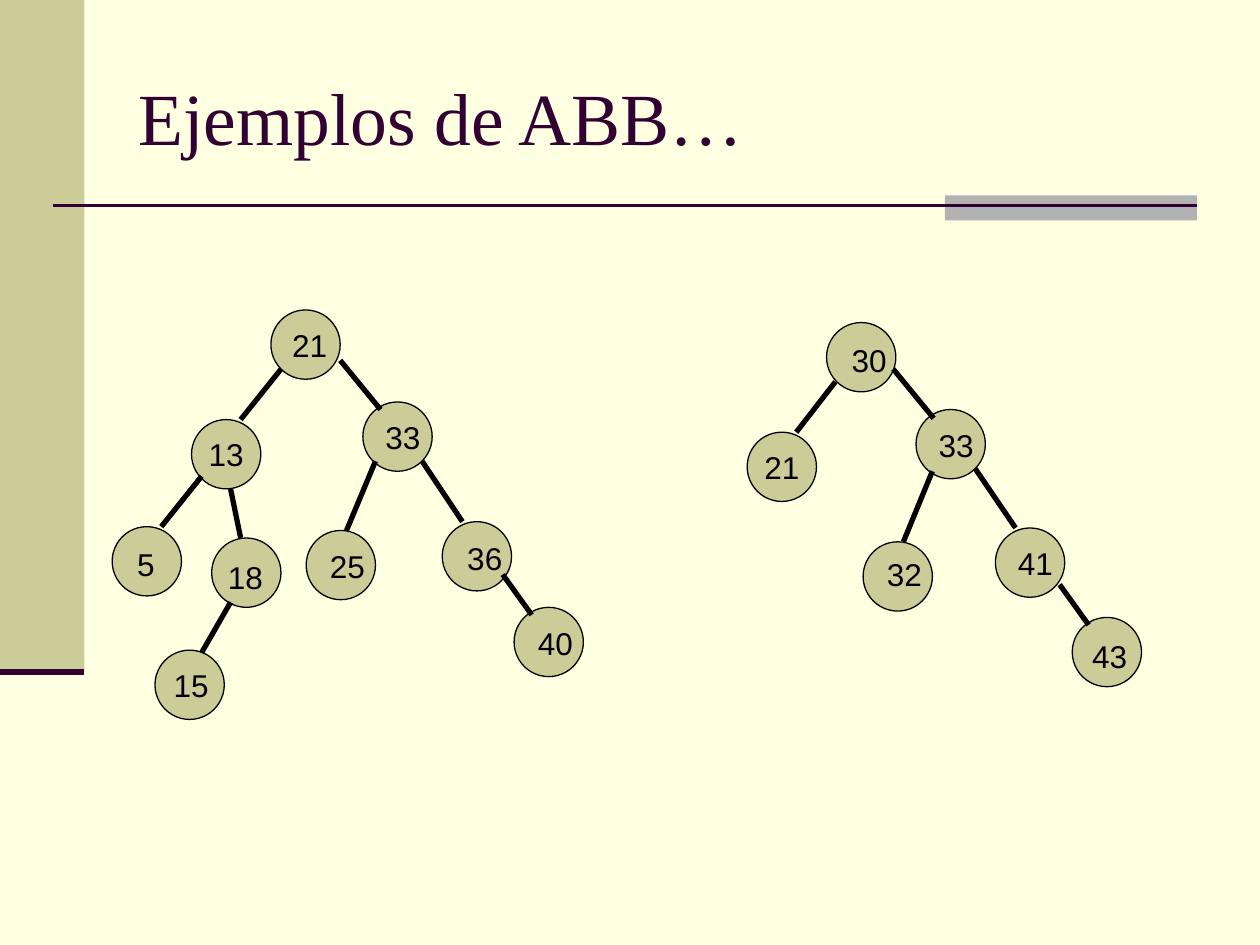
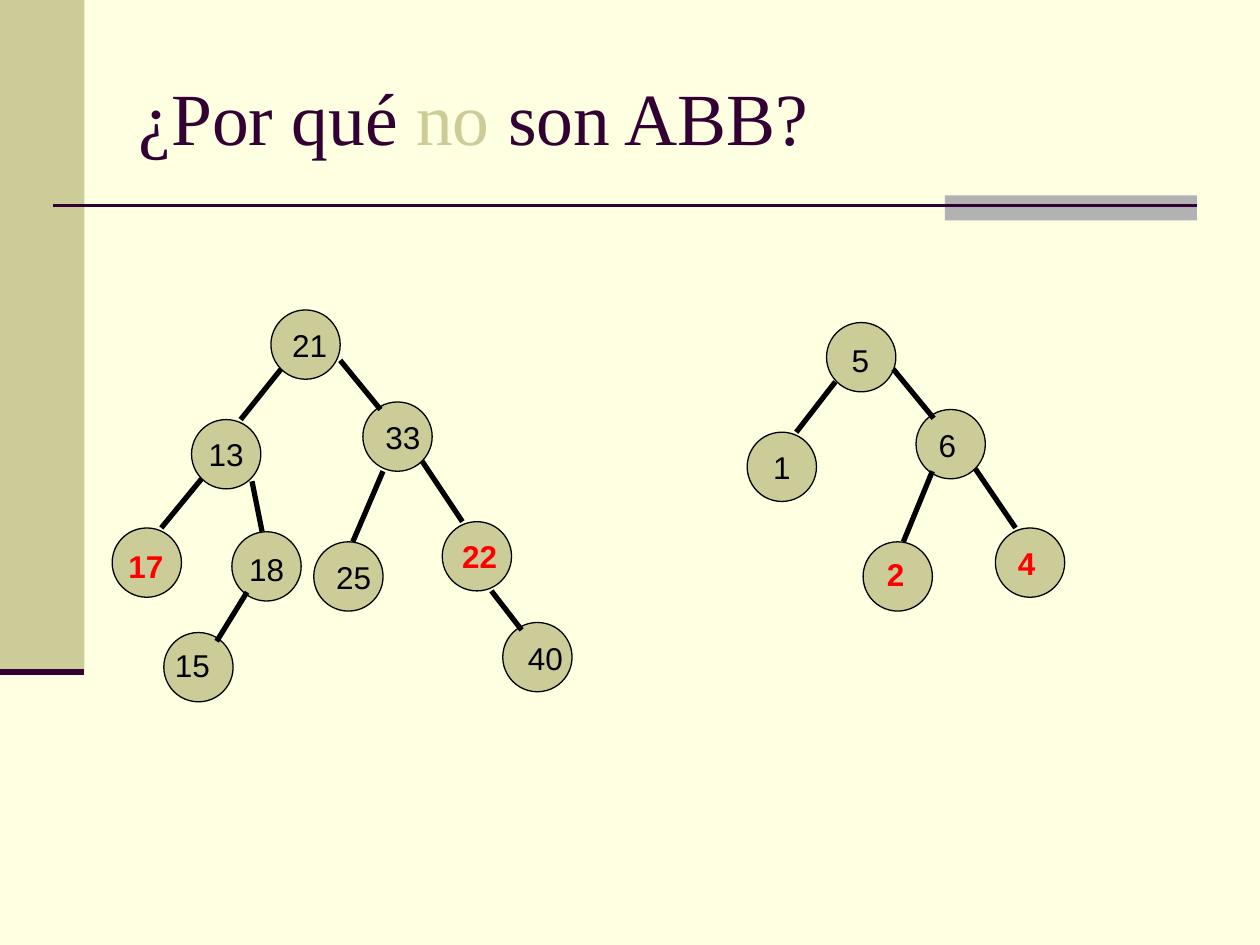
from dataclasses import dataclass, replace

from lxml import etree
from pptx import Presentation
from pptx import util as u
from pptx.dml.color import RGBColor
from pptx.enum import shapes, text
from pptx.oxml.ns import qn

COLORS = {
    "paper": "FFFFE1",
    "olive": "CCCC99",
    "gray": "B2B2B2",
    "plum": "330033",
    "black": "000000",
    "red": "FF0000",
}
NODE_SIZE = 0.55
LABEL_HEIGHT = 0.4
LEFT_TREE_BOX = (0.89, 2.46)
RIGHT_TREE_BOX = (5.93, 2.56)


@dataclass(frozen=True)
class Node:
    value: str
    at: tuple
    leave: tuple = None
    enter: tuple = None
    label: tuple = None
    label_width: float = 0.55
    wrong: bool = False


# Each key spells the way down from the root: L for left, R for right.
SEARCH_LEFT = {
    "": Node("21", (1.26, 0), label=(0.07, 0.08)),
    "L": Node("13", (0.63, 0.87), (0.08, 0.47), (0.39, 0)),
    "R": Node("33", (1.99, 0.73), (0.55, 0.4), (0.14, 0.06), (0.08, 0.08), 0.71),
    "LL": Node("5", (0, 1.72), (0.08, 0.45), (0.39, 0), (0.1, 0.1), 0.31),
    "LR": Node("18", (0.79, 1.81), (0.31, 0.55), (0.23, 0), (0.03, 0.11), 0.63),
    "LRL": Node("15", (0.34, 2.7), (0.15, 0.51), (0.37, 0.02), (0.05, 0.08), 0.71),
    "RL": Node("25", (1.54, 1.75), (0.1, 0.47), (0.32, 0), (0.09, 0.08), 0.63),
    "RR": Node("36", (2.62, 1.68), (0.47, 0.47), (0.16, 0), (0.1, 0.09)),
    "RRR": Node("40", (3.19, 2.36), (0.48, 0.42), (0.14, 0.06), (0.09, 0.08), 0.79),
}
SEARCH_RIGHT = {
    "": Node("30", (0.63, 0), label=(0.1, 0.1)),
    "L": Node("21", (0, 0.87), (0.07, 0.47), (0.39, 0)),
    "R": Node("33", (1.34, 0.69), (0.53, 0.37), (0.14, 0.07), (0.08, 0.08), 0.71),
    "RL": Node("32", (0.92, 1.74), (0.13, 0.49), (0.32, 0), (0.09, 0.06), 0.63),
    "RR": Node("41", (1.97, 1.63), (0.47, 0.47), (0.16, 0), (0.08, 0.08)),
    "RRR": Node("43", (2.58, 2.34), (0.51, 0.45), (0.13, 0.06), (0.06, 0.11), 0.79),
}


def change(tree, **changes):
    return {way: replace(node, **changes.get(way, {})) for way, node in tree.items()}


BROKEN_LEFT = change(
    SEARCH_LEFT,
    LL=dict(value="17", at=(0, 1.73), leave=(0.08, 0.47), label=(0.03, 0.1),
            label_width=0.63, wrong=True),
    LR=dict(at=(0.95, 1.76), leave=(0.48, 0.49), enter=(0.24, 0), label=(0.04, 0.1)),
    LRL=dict(at=(0.41, 2.56), leave=(0.12, 0.48), enter=(0.42, 0.07), label=(-0.01, 0.06)),
    RL=dict(at=(1.6, 1.84), leave=(0.16, 0.55), enter=(0.31, 0), label=(0.08, 0.08)),
    RR=dict(value="22", label=(0.06, 0.07), wrong=True),
    RRR=dict(at=(3.1, 2.48), leave=(0.39, 0.55), enter=(0.15, 0.06), label=(0.1, 0.08)),
)
BROKEN_RIGHT = change(
    {way: node for way, node in SEARCH_RIGHT.items() if way != "RRR"},
    **{"": dict(value="5")},
    L=dict(value="1"),
    R=dict(value="6"),
    RL=dict(value="2", wrong=True),
    RR=dict(value="4", wrong=True),
)


def rgb(name):
    return RGBColor.from_string(COLORS[name])


def shift(origin, offset):
    return origin[0] + offset[0], origin[1] + offset[1]


def inches(*lengths):
    return [u.Inches(length) for length in lengths]


def write(frame, runs, size=18, font="Arial", bold=False, align=text.PP_ALIGN.LEFT,
          anchor=text.MSO_ANCHOR.TOP, wrap=True, fit=text.MSO_AUTO_SIZE.NONE, before=0):
    frame.word_wrap = wrap
    frame.auto_size = fit
    frame.vertical_anchor = anchor
    paragraph = frame.paragraphs[0]
    paragraph.alignment = align
    paragraph.space_before = u.Pt(before)
    for words, color in runs:
        run = paragraph.add_run()
        run.text = words
        run.font.size = u.Pt(size)
        run.font.name = font
        run.font.bold = bold
        run.font.color.rgb = rgb(color)


def draw_shape(slide, kind, box, fill, outline=None):
    shape = slide.shapes.add_shape(kind, *inches(*box))
    shape.shadow.inherit = False
    shape.fill.solid()
    shape.fill.fore_color.rgb = rgb(fill)
    if outline:
        shape.line.color.rgb = rgb(outline)
        shape.line.width = u.Pt(0.75)
    else:
        shape.line.fill.background()
    return shape


def draw_line(slide, start, end, color="black", width=3):
    line = slide.shapes.add_connector(
        shapes.MSO_CONNECTOR.STRAIGHT, *inches(*start, *end))
    line.line.color.rgb = rgb(color)
    line.line.width = u.Pt(width)
    etree.SubElement(line.element.spPr, qn("a:effectLst"))
    return line


def decorate_layout(layout, slide):
    layout.background.fill.solid()
    layout.background.fill.fore_color.rgb = rgb("paper")
    rectangle = shapes.MSO_SHAPE.RECTANGLE
    decorations = [
        draw_shape(slide, rectangle, (0, 0, 0.67, 5.33), "olive"),
        draw_shape(slide, rectangle, (7.5, 1.55, 2, 0.2), "gray"),
        draw_line(slide, (0.42, 1.63), (9.5, 1.63), "plum", 1.5),
        draw_line(slide, (0, 5.33), (0.67, 5.33), "plum", 3.5),
    ]
    for decoration in decorations:
        layout.shapes.element.append(decoration.element)


def draw_tree(slide, origin, tree):
    corners = {way: shift(origin, node.at) for way, node in tree.items()}
    for way, node in tree.items():
        circle = draw_shape(slide, shapes.MSO_SHAPE.OVAL,
                            (*corners[way], NODE_SIZE, NODE_SIZE), "olive", "black")
        if not node.label:
            write(circle.text_frame, [(node.value, "black")], wrap=False,
                  align=text.PP_ALIGN.CENTER, anchor=text.MSO_ANCHOR.MIDDLE)
    for way, node in tree.items():
        if way:
            draw_line(slide, shift(corners[way[:-1]], node.leave),
                      shift(corners[way], node.enter))
    for way, node in tree.items():
        if node.label:
            label = slide.shapes.add_textbox(*inches(
                *shift(corners[way], node.label), node.label_width, LABEL_HEIGHT))
            write(label.text_frame, [(node.value, "red" if node.wrong else "black")],
                  bold=node.wrong, fit=text.MSO_AUTO_SIZE.SHAPE_TO_FIT_TEXT, before=11.2)


def fill_tree_slide(slide, title_runs, left_tree, right_tree):
    title = slide.shapes.title
    title.left, title.top, title.width, title.height = inches(1, 0.3, 8.5, 1.25)
    write(title.text_frame, title_runs, size=42, font="Times New Roman",
          anchor=text.MSO_ANCHOR.MIDDLE)
    draw_tree(slide, LEFT_TREE_BOX, left_tree)
    draw_tree(slide, RIGHT_TREE_BOX, right_tree)


def main():
    deck = Presentation()
    deck.slide_width, deck.slide_height = inches(10, 7.5)
    layout = deck.slide_layouts.get_by_name("Title Only")
    examples = deck.slides.add_slide(layout)
    counterexamples = deck.slides.add_slide(layout)
    decorate_layout(layout, examples)
    fill_tree_slide(examples, [("Ejemplos de ABB…", "plum")], SEARCH_LEFT, SEARCH_RIGHT)
    fill_tree_slide(
        counterexamples,
        [("¿Por qué ", "plum"), ("no", "olive"), (" son ABB?", "plum")],
        BROKEN_LEFT, BROKEN_RIGHT)
    deck.save("out.pptx")


if __name__ == "__main__":
    main()
